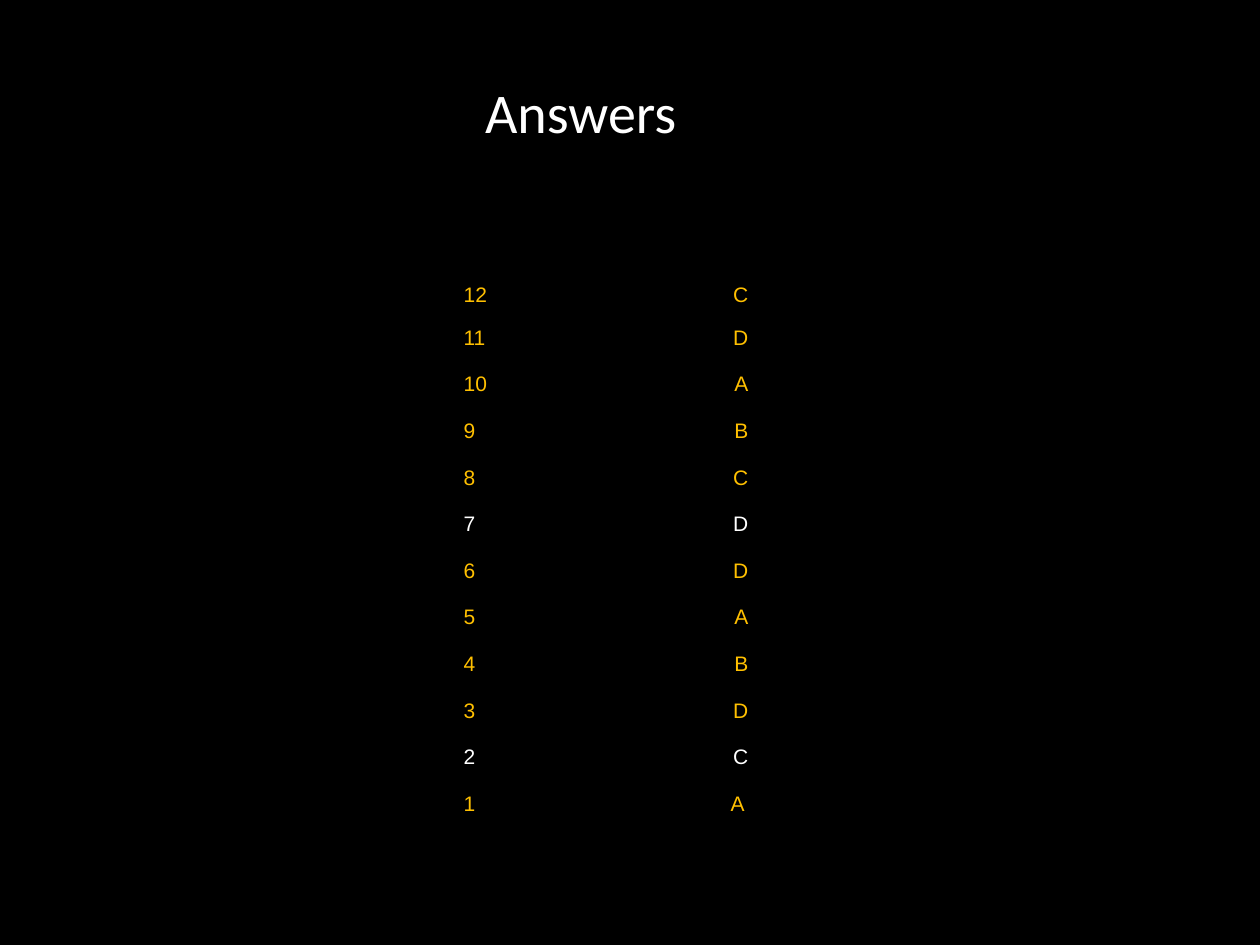
from dataclasses import dataclass

from pptx import Presentation
from pptx.dml.color import RGBColor as Rgb
from pptx.enum.text import MSO_ANCHOR as Anchor, PP_ALIGN as Align
from pptx.util import Inches, Pt


@dataclass(frozen=True)
class Theme:
    back: Rgb = Rgb(0, 0, 0)
    gold: Rgb = Rgb(0xFF, 0xC0, 0x00)
    white: Rgb = Rgb(0xFF, 0xFF, 0xFF)
    head: Pt = Pt(32)
    body: Pt = Pt(12)
    head_font: str = "Calibri"
    body_font: str = "Arial"
    plain: str = "{2D5ABB26-0587-4C30-8999-92F81FD0307C}"  # no style, no grid


@dataclass(frozen=True)
class Answer:
    num: int
    key: str
    color: Rgb


THEME = Theme()
WIDE, HIGH = Inches(10), Inches(7.5)
KEYS = "CDABCDDABDCA"  # answers from the last question to the first
WHITE = {7, 2}
ANSWERS = [
    Answer(num, key, THEME.white if num in WHITE else THEME.gold)
    for num, key in zip(range(len(KEYS), 0, -1), KEYS)
]


def add_back(slide) -> None:
    pen = slide.shapes.build_freeform(0, HIGH)
    pen.add_line_segments([(WIDE, HIGH), (WIDE, 0), (0, 0)], close=True)
    shape = pen.convert_to_shape()
    shape.shadow.inherit = False
    shape.fill.solid()
    shape.fill.fore_color.rgb = THEME.back
    shape.line.fill.background()


def add_run(para, text: str, font: str, size: Pt, color: Rgb) -> None:
    run = para.add_run()
    run.text = text
    run.font.name = font
    run.font.size = size
    run.font.color.rgb = color


def add_title(slide, text: str) -> None:
    box = slide.shapes.add_textbox(Inches(3.11), Inches(0.17), Inches(3), Inches(1.42))
    frame = box.text_frame
    frame.word_wrap = True
    frame.vertical_anchor = Anchor.MIDDLE
    para = frame.paragraphs[0]
    para.alignment = Align.CENTER
    add_run(para, text, THEME.head_font, THEME.head, THEME.white)


def fill_cell(cell, text: str, color: Rgb, align: Align, solid: bool) -> None:
    cell.margin_left = cell.margin_right = cell.margin_top = cell.margin_bottom = 0
    if solid:
        cell.fill.solid()
        cell.fill.fore_color.rgb = THEME.back
    else:
        cell.fill.background()
    para = cell.text_frame.paragraphs[0]
    para.alignment = align
    add_run(para, text, THEME.body_font, THEME.body, color)


def add_answers(slide, answers: list[Answer]) -> None:
    last = len(answers) - 1
    frame = slide.shapes.add_table(
        len(answers), 2, Inches(3.65), Inches(2.25), Inches(2.29), Inches(4.38)
    )
    table = frame.table
    table.first_row = table.horz_banding = False
    table._tbl.tblPr.find("{*}tableStyleId").text = THEME.plain
    for col, width in zip(table.columns, (0.77, 1.52)):
        col.width = Inches(width)

    for i, item in enumerate(answers):
        table.rows[i].height = Inches(0.34 if i in (0, last) else 0.37)
        num, key = table.cell(i, 0), table.cell(i, 1)
        fill_cell(num, str(item.num), item.color, Align.LEFT, i < last)
        fill_cell(key, item.key, item.color, Align.RIGHT, i < last)
        num.margin_left = Inches(0.03)
    table.cell(last, 1).margin_right = Inches(0.03)


def main() -> None:
    deck = Presentation()
    deck.slide_width, deck.slide_height = WIDE, HIGH
    slide = deck.slides.add_slide(deck.slide_layouts[6])

    # Black backdrop, answer list, then the title
    add_back(slide)
    add_answers(slide, ANSWERS)
    add_title(slide, "Answers")
    deck.save("out.pptx")


if __name__ == "__main__":
    main()
